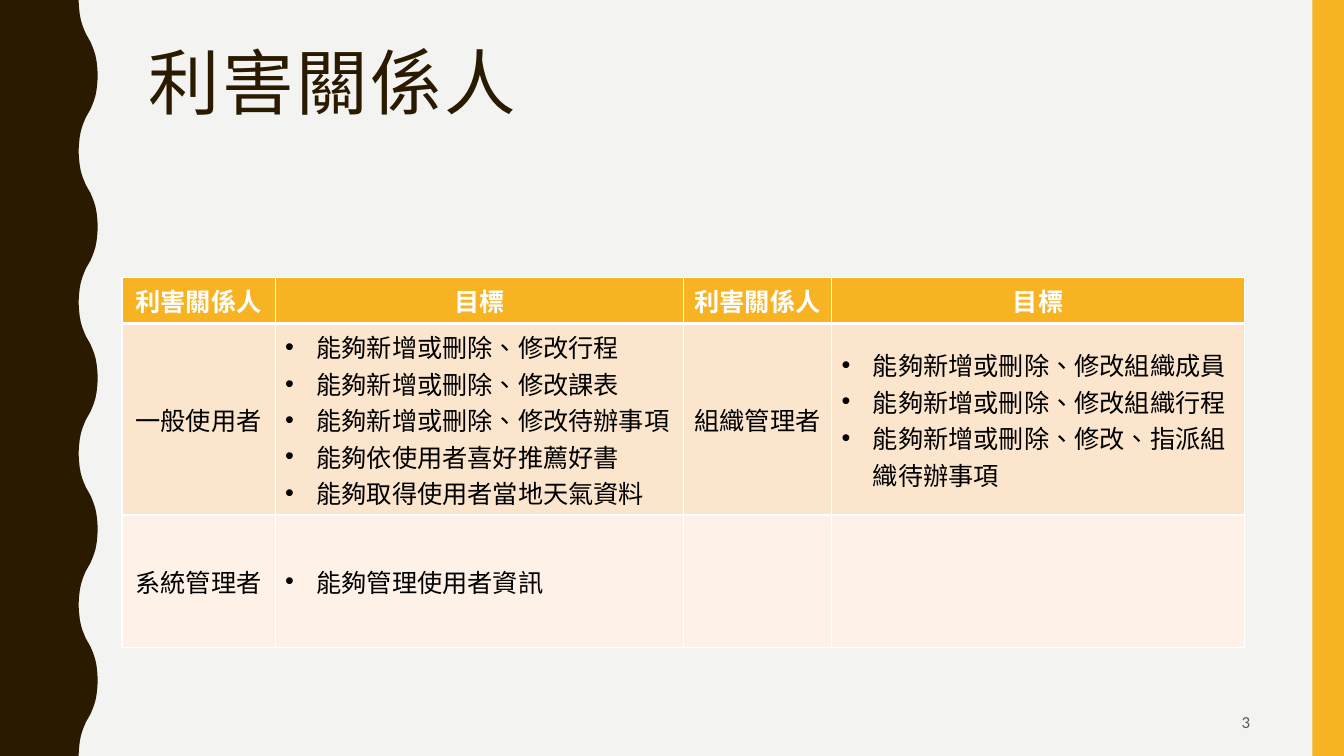
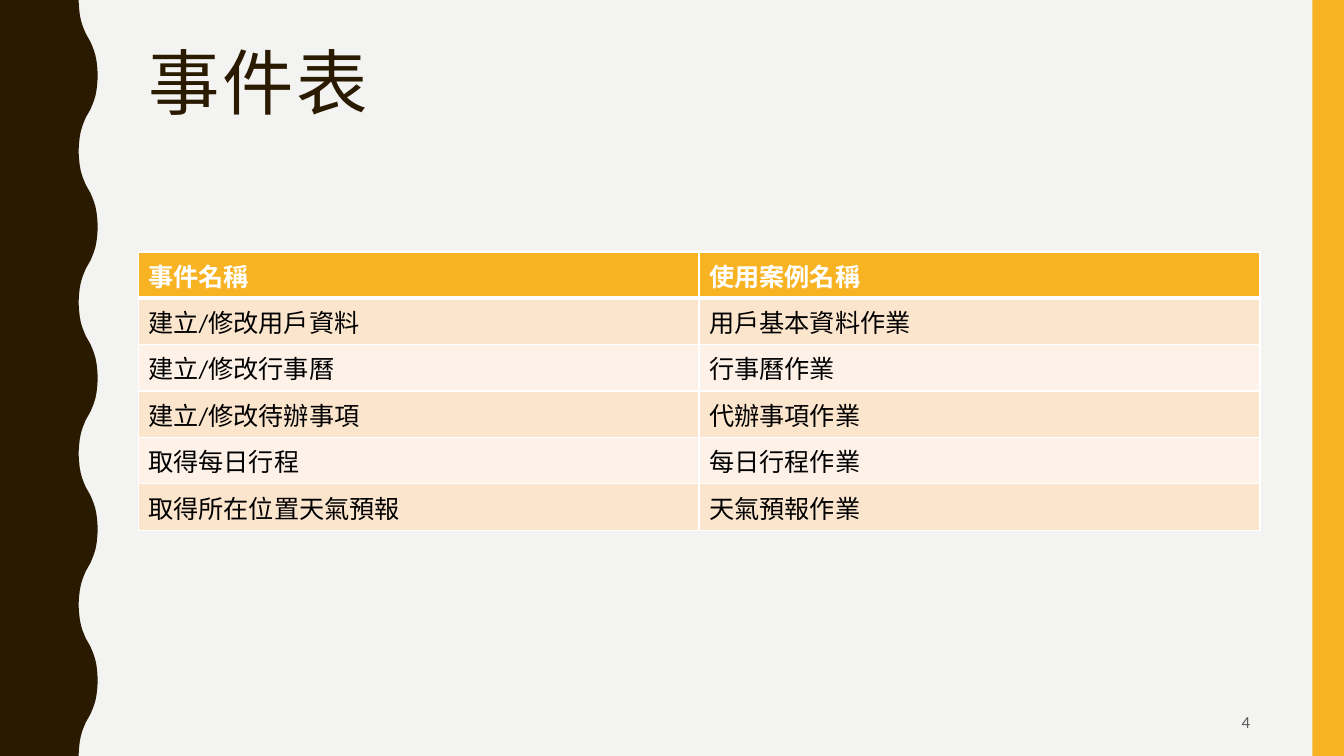
from lxml import etree
from pptx import Presentation
from pptx.dml.color import RGBColor
from pptx.enum.shapes import MSO_SHAPE
from pptx.enum.text import MSO_ANCHOR, MSO_AUTO_SIZE, PP_ALIGN
from pptx.oxml.ns import qn
from pptx.util import Emu, Inches, Pt

RECT = MSO_SHAPE.RECTANGLE
TOP, MIDDLE = MSO_ANCHOR.TOP, MSO_ANCHOR.MIDDLE
LEFT, CENTER, RIGHT = PP_ALIGN.LEFT, PP_ALIGN.CENTER, PP_ALIGN.RIGHT
FIXED = MSO_AUTO_SIZE.NONE

PAPER = RGBColor(0xF3, 0xF3, 0xF2)
BROWN = RGBColor(0x2A, 0x1A, 0x00)
GOLD = RGBColor(0xF8, 0xB3, 0x23)
PEACH = RGBColor(0xFC, 0xE5, 0xCD)
CREAM = RGBColor(0xFE, 0xF2, 0xE8)
WHITE = RGBColor(0xFF, 0xFF, 0xFF)
BLACK = RGBColor(0x00, 0x00, 0x00)
GRAY = RGBColor(0x59, 0x59, 0x59)

WIDTH, HEIGHT = Emu(12192000), Inches(7.5)
COLS, ROWS = 40, 30
HEAD, BODY, ALT = "Arial", "Calibri", "Lato"
EDGE, SPAN = 4.11, 33.39
LINE = 1.84

TROUGH, SWELL, PERIOD = 2.34, 0.57, 6
CURVE = [(0, 0), (0.28, 0.02), (0.56, 0.06), (0.8, 0.12),
         (1, 0.2), (1.16, 0.28), (1.34, 0.38)]

GOALS = [
    ["利害關係人", "目標", "利害關係人", "目標"],
    ["一般使用者",
     ["能夠新增或刪除、修改行程",
      "能夠新增或刪除、修改課表",
      "能夠新增或刪除、修改待辦事項",
      "能夠依使用者喜好推薦好書",
      [("能夠取得使用者", BODY), ("當", ALT), ("地天氣資料", BODY)]],
     "組織管理者",
     ["能夠新增或刪除、修改組織成員",
      "能夠新增或刪除、修改組織行程",
      "能夠新增或刪除、修改、指派組織待辦事項"]],
    ["系統管理者", ["能夠管理使用者資訊"], "", ""],
]
EVENTS = [
    ["事件名稱", "使用案例名稱"],
    ["建立/修改用戶資料", "用戶基本資料作業"],
    ["建立/修改行事曆", "行事曆作業"],
    ["建立/修改待辦事項", "代辦事項作業"],
    ["取得每日行程", "每日行程作業"],
    ["取得所在位置天氣預報", "天氣預報作業"],
]


def col(count):
    return Emu(round(WIDTH * count / COLS))


def row(count):
    return Emu(round(HEIGHT * count / ROWS))


def box(left, top, width, height):
    return col(left), row(top), col(width), row(height)


def add_run(para, text, font, size, color, bold=False):
    run = para.add_run()
    run.text = text
    run.font.name = font
    run.font.size = Pt(size)
    run.font.bold = bold
    run.font.color.rgb = color
    run._r.get_or_add_rPr().set("lang", "zh-TW")
    return run


def paint(shape, color):
    shape.shadow.inherit = False
    shape.fill.solid()
    shape.fill.fore_color.rgb = color
    shape.line.fill.background()


def add_wave(slide):
    half = CURVE + [(1.5, 0.5)] + [(3 - y, 1 - x) for y, x in reversed(CURVE)]
    cycle = half + [(PERIOD - y, x) for y, x in reversed(half[1:-1])]
    points = [(TROUGH + SWELL * x, start + y)
              for start in range(0, ROWS, PERIOD) for y, x in cycle]
    points += [(TROUGH, ROWS), (0, ROWS)]
    pen = slide.shapes.build_freeform(0, 0)
    pen.add_line_segments([(col(x), row(y)) for x, y in points], close=True)
    wave = pen.convert_to_shape()
    paint(wave, BROWN)
    return wave


def add_bands(slide):
    stripe = slide.shapes.add_shape(RECT, *box(39.06, 0, 0.94, ROWS))
    paint(stripe, GOLD)
    tree = slide.slide_layout.shapes.element
    for band in (add_wave(slide), stripe):
        tree.append(band.element)


def set_title(slide, text, height):
    title = slide.shapes.title
    title.left, title.top, title.width, title.height = box(
        EDGE, 1.68, SPAN, height)
    frame = title.text_frame
    frame.auto_size = FIXED
    frame.vertical_anchor = TOP
    para = frame.paragraphs[0]
    para.alignment = LEFT
    para.line_spacing = 0.9
    run = add_run(para, text, HEAD, 51, BROWN)
    run._r.get_or_add_rPr().set("spc", "200")


def add_number(slide, number):
    frame = slide.shapes.add_textbox(*box(28.26, 27.88, 9.24, 1.52)).text_frame
    frame.word_wrap = True
    frame.vertical_anchor = MIDDLE
    para = frame.paragraphs[0]
    para.alignment = RIGHT
    add_run(para, str(number), BODY, 12, GRAY)


def set_bullet(para):
    props = para._p.get_or_add_pPr()
    props.set("marL", str(Inches(0.31)))
    props.set("indent", str(-Inches(0.31)))
    etree.SubElement(props, qn("a:buFont")).set("typeface", "Arial")
    etree.SubElement(props, qn("a:buChar")).set("char", "•")


def set_border(cell, base):
    props = cell._tc.get_or_add_tcPr()
    for side, width in (("L", 1), ("R", 1), ("T", 1), ("B", base)):
        line = etree.SubElement(props, qn("a:ln" + side), w=str(Pt(width)))
        fill = etree.SubElement(line, qn("a:solidFill"))
        etree.SubElement(fill, qn("a:srgbClr"), val=str(WHITE))


def fill_cell(cell, content, align, head):
    listed = isinstance(content, list)
    color = WHITE if head else BLACK
    frame = cell.text_frame
    for index, item in enumerate(content if listed else [content]):
        para = frame.add_paragraph() if index else frame.paragraphs[0]
        para.alignment = LEFT if listed else align
        if listed:
            set_bullet(para)
        for text, font in item if isinstance(item, list) else [(item, BODY)]:
            if text:
                add_run(para, text, font, 18, color, head)


def add_grid(slide, data, left, top, widths, heights, align, anchor):
    frame = slide.shapes.add_table(
        len(data), len(widths), *box(left, top, sum(widths), sum(heights)))
    table = frame.table
    table.horz_banding = False
    for column, width in zip(table.columns, widths):
        column.width = col(width)
    for index, (line, height) in enumerate(zip(data, heights)):
        head = index == 0
        table.rows[index].height = row(height)
        shade = GOLD if head else PEACH if index % 2 else CREAM
        for place, content in enumerate(line):
            cell = table.cell(index, place)
            cell.vertical_anchor = anchor
            set_border(cell, 3 if head else 1)
            cell.fill.solid()
            cell.fill.fore_color.rgb = shade
            fill_cell(cell, content, align, head)


def add_page(deck, title, height, number):
    slide = deck.slides.add_slide(deck.slide_layouts[5])
    set_title(slide, title, height)
    add_number(slide, number)
    return slide


def main():
    deck = Presentation()
    deck.slide_width, deck.slide_height = WIDTH, HEIGHT
    back = deck.slide_master.background.fill
    back.solid()
    back.fore_color.rgb = PAPER

    people = add_page(deck, "利害關係人", 6.52, 3)
    add_bands(people)
    add_grid(people, GOALS, 3.63, 11, [4.56, 12.15, 4.41, 12.3],
             [LINE, 7.6, 5.24], CENTER, MIDDLE)

    events = add_page(deck, "事件表", 3.52, 4)
    add_grid(events, EVENTS, EDGE, 10, [SPAN / 2] * 2,
             [LINE] * len(EVENTS), LEFT, TOP)

    deck.save("out.pptx")


if __name__ == "__main__":
    main()
